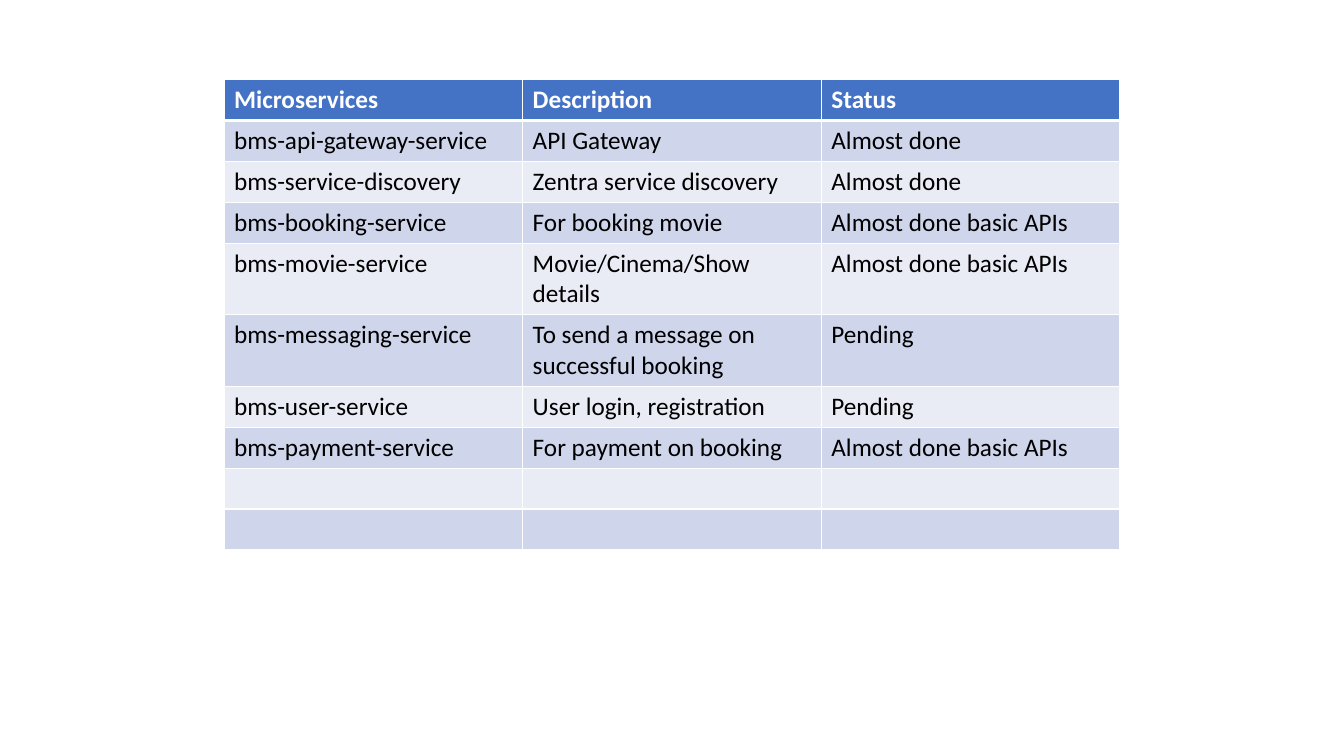
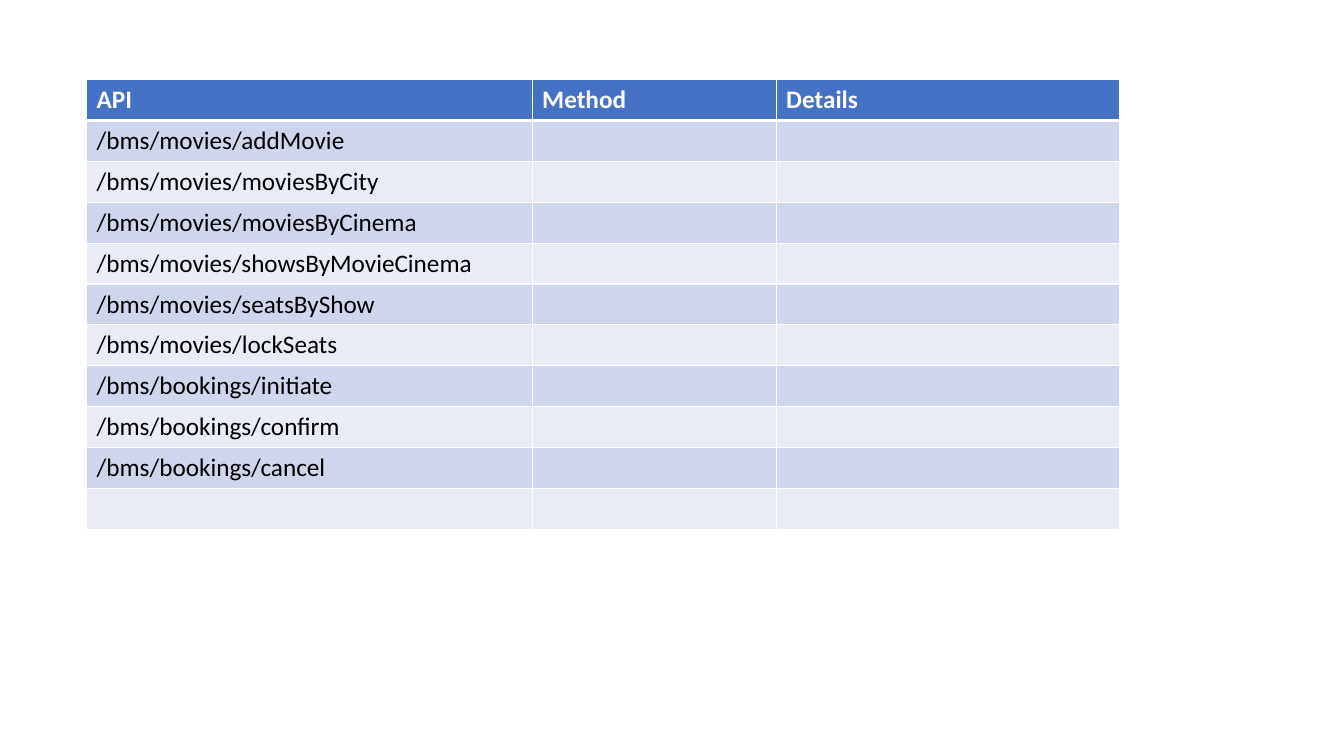
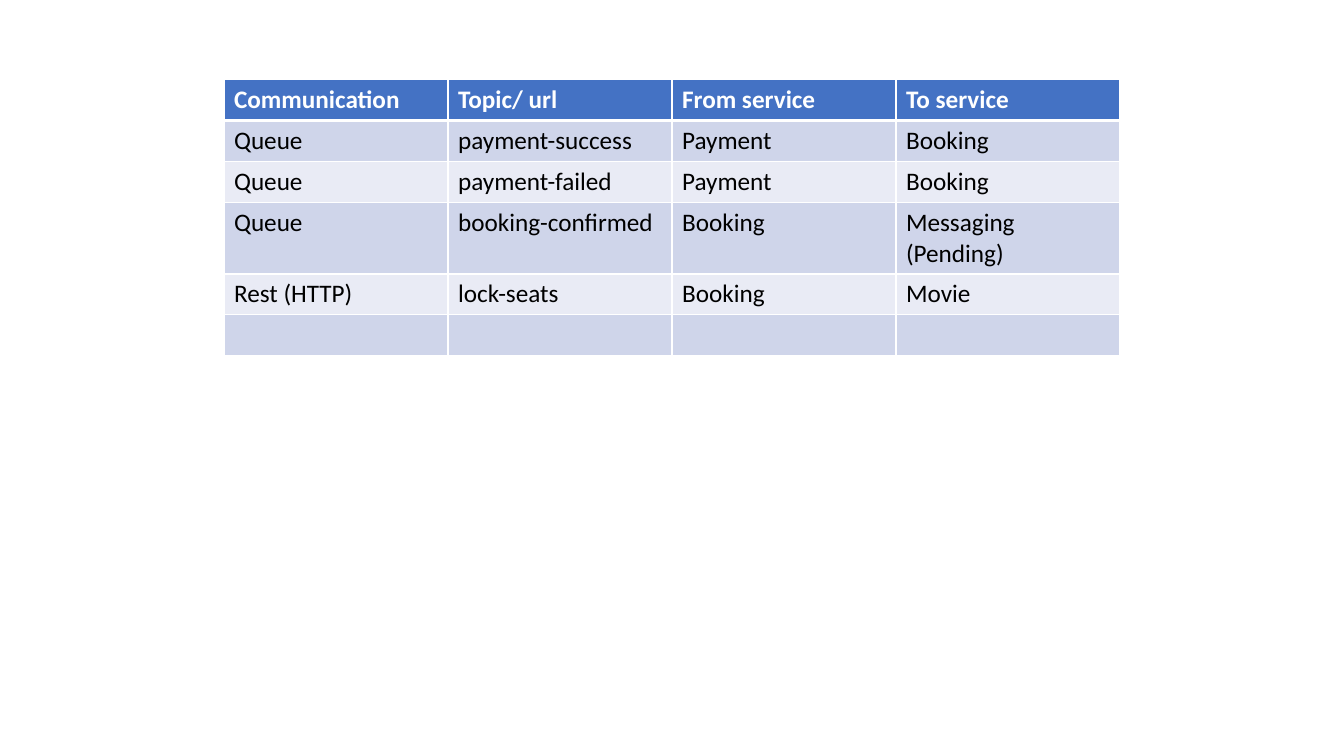
from lxml.etree import SubElement
from pptx import Presentation
from pptx.dml.color import RGBColor
from pptx.oxml.ns import qn
from pptx.util import Inches, Pt

WHITE = RGBColor(0xFF, 0xFF, 0xFF)
BLACK = RGBColor(0x00, 0x00, 0x00)
HEAD = RGBColor(0x44, 0x72, 0xC4)
BANDS = RGBColor(0xE9, 0xEB, 0xF5), RGBColor(0xCF, 0xD5, 0xEA)

WIDE, HIGH = 13.33, 7.5
RIGHT = WIDE * 5 / 6
SPAN = WIDE * 2 / 3
TOP = 0.79
ROW = Pt(29.2)

# Each table: column widths in inches, header, rows, empty rows at the end
TABLES = [
    ([SPAN / 3] * 3, ("Microservices", "Description", "Status"), [
        ("bms-api-gateway-service", "API Gateway", "Almost done"),
        ("bms-service-discovery", "Zentra service discovery", "Almost done"),
        ("bms-booking-service", "For booking movie", "Almost done basic APIs"),
        ("bms-movie-service", "Movie/Cinema/Show details", "Almost done basic APIs"),
        ("bms-messaging-service", "To send a message on successful booking", "Pending"),
        ("bms-user-service", "User login, registration", "Pending"),
        ("bms-payment-service", "For payment on booking", "Almost done basic APIs"),
    ], 2),
    ([4.42, 2.42, 3.41], ("API", "Method", "Details"), [
        ("/bms/movies/addMovie",),
        ("/bms/movies/moviesByCity",),
        ("/bms/movies/moviesByCinema",),
        ("/bms/movies/showsByMovieCinema",),
        ("/bms/movies/seatsByShow",),
        ("/bms/movies/lockSeats",),
        ("/bms/bookings/initiate",),
        ("/bms/bookings/confirm",),
        ("/bms/bookings/cancel",),
    ], 1),
    ([SPAN / 4] * 4, ("Communication", "Topic/ url", "From service", "To service"), [
        ("Queue", "payment-success", "Payment", "Booking"),
        ("Queue", "payment-failed", "Payment", "Booking"),
        ("Queue", "booking-confirmed", "Booking", "Messaging (Pending)"),
        ("Rest (HTTP)", "lock-seats", "Booking", "Movie"),
    ], 1),
]


def add_borders(cell, row):
    """White rules, thicker between the header and the first row."""
    thick = {0: "lnB", 1: "lnT"}.get(row)
    props = cell._tc.get_or_add_tcPr()
    for side in ("lnL", "lnR", "lnT", "lnB"):
        width = Pt(3 if side == thick else 1)
        line = SubElement(props, qn(f"a:{side}"), w=str(width))
        fill = SubElement(line, qn("a:solidFill"))
        SubElement(fill, qn("a:srgbClr"), val=str(WHITE))


def style_cell(cell, row):
    add_borders(cell, row)
    cell.fill.solid()
    cell.fill.fore_color.rgb = BANDS[row % 2] if row else HEAD
    for run in cell.text_frame.paragraphs[0].runs:
        font = run.font
        font.name, font.size = "Calibri", Pt(18)
        font.bold = row == 0
        font.color.rgb = BLACK if row else WHITE


def add_grid(slide, widths, header, body, spare):
    rows = [header, *body, *[()] * spare]
    total = sum(widths)
    table = slide.shapes.add_table(
        len(rows), len(widths), Inches(RIGHT - total), Inches(TOP),
        Inches(total), ROW * len(rows)).table
    for column, width in zip(table.columns, widths):
        column.width = Inches(width)
    for r, texts in enumerate(rows):
        table.rows[r].height = ROW
        for c, text in enumerate(texts):
            table.cell(r, c).text_frame.text = text
        for cell in table.rows[r].cells:
            style_cell(cell, r)


def main():
    deck = Presentation()
    deck.slide_width, deck.slide_height = Inches(WIDE), Inches(HIGH)
    for content in TABLES:
        add_grid(deck.slides.add_slide(deck.slide_layouts[6]), *content)
    deck.save("out.pptx")


if __name__ == "__main__":
    main()
